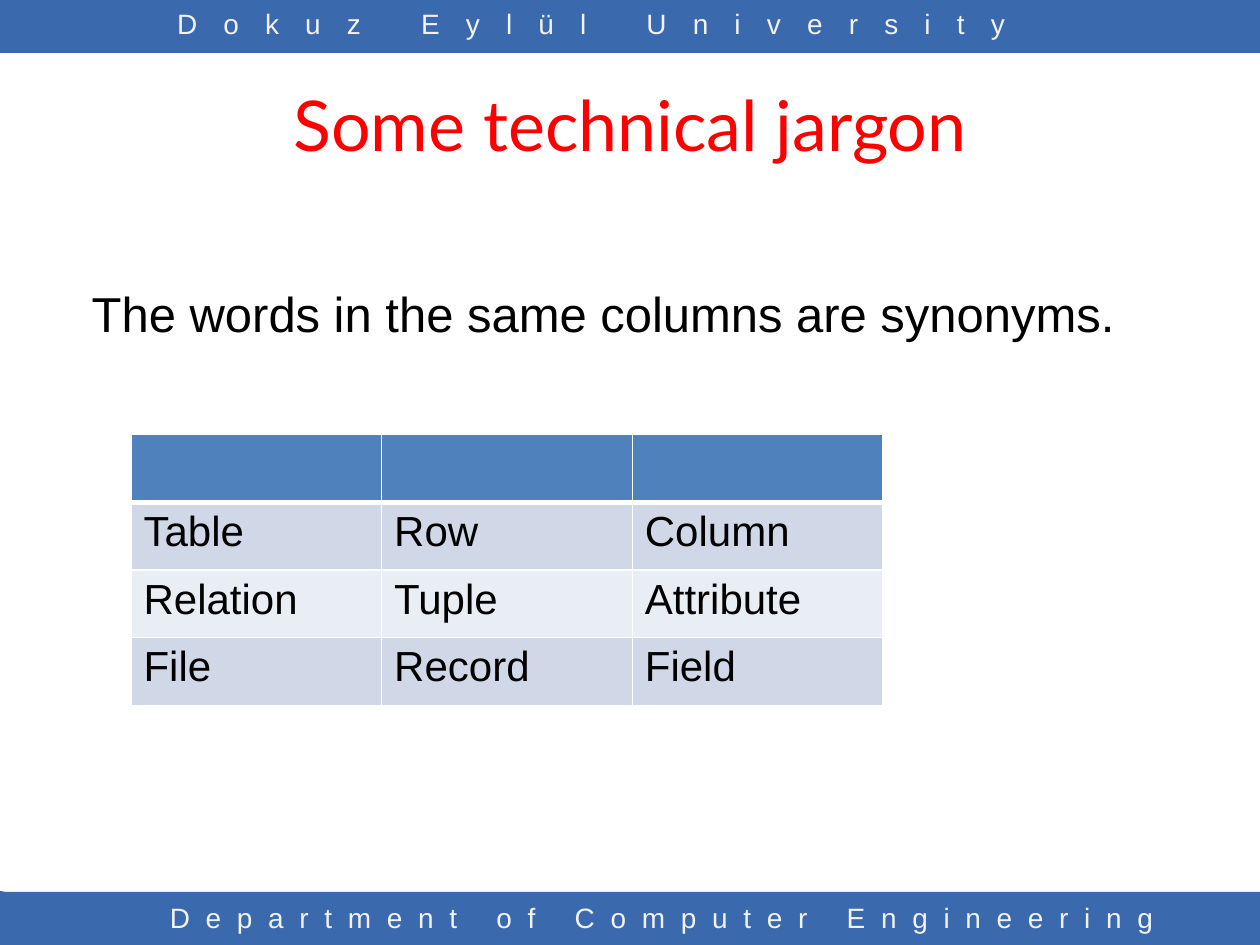
from dataclasses import dataclass

from lxml import etree
from pptx import Presentation
from pptx import util as u
from pptx.dml.color import RGBColor
from pptx.enum import shapes, text
from pptx.oxml.ns import qn


@dataclass(frozen=True)
class Theme:
    band: str = "3B69AE"
    band_text: str = "F2F2F2"
    title: str = "FF0000"
    ink: str = "000000"
    header: str = "4F81BD"
    rows: tuple = ("D0D8E8", "E9EDF4")
    border: str = "FFFFFF"
    heading_font: str = "Lato"
    body_font: str = "Arial"
    title_size: int = 40
    body_size: int = 28
    table_size: int = 24
    band_size: int = 16


class SlideBuilder:
    def __init__(self, slide, theme):
        self.slide = slide
        self.theme = theme

    def fill(self, shape, color):
        shape.shadow.inherit = False
        shape.fill.solid()
        shape.fill.fore_color.rgb = RGBColor.from_string(color)
        shape.line.fill.background()

    def add_text(self, paragraph, content, size, color, font, spacing=None):
        run = paragraph.add_run()
        run.text = content
        run.font.size = u.Pt(size)
        run.font.name = font
        run.font.color.rgb = RGBColor.from_string(color)
        if spacing:
            run._r.get_or_add_rPr().set("spc", str(spacing * 100))

    def band(self, top, height):
        shape = self.slide.shapes.add_shape(
            shapes.MSO_SHAPE.RECTANGLE, 0, u.Cm(top), u.Cm(25.4), u.Cm(height))
        self.fill(shape, self.theme.band)

    def polygon(self, points):
        start, *others = [(u.Cm(x), u.Cm(y)) for x, y in points]
        builder = self.slide.shapes.build_freeform(*start)
        builder.add_line_segments(others, close=True)
        self.fill(builder.convert_to_shape(), self.theme.band)

    def text_box(self, left, top, width, height):
        box = self.slide.shapes.add_textbox(
            u.Cm(left), u.Cm(top), u.Cm(width), u.Cm(height))
        box.text_frame.word_wrap = True
        return box.text_frame

    def band_label(self, content, left, top, width, height, spacing):
        paragraph = self.text_box(left, top, width, height).paragraphs[0]
        paragraph.alignment = text.PP_ALIGN.CENTER
        self.add_text(paragraph, content, self.theme.band_size,
                      self.theme.band_text, self.theme.body_font, spacing)

    def title(self, content, left, top, width, height):
        shape = self.slide.shapes.title
        shape.left, shape.top = u.Cm(left), u.Cm(top)
        shape.width, shape.height = u.Cm(width), u.Cm(height)
        shape.text_frame.vertical_anchor = text.MSO_ANCHOR.MIDDLE
        paragraph = shape.text_frame.paragraphs[0]
        paragraph.alignment = text.PP_ALIGN.CENTER
        self.add_text(paragraph, content, self.theme.title_size,
                      self.theme.title, self.theme.heading_font)

    def statement(self, content, left, top, width, height):
        frame = self.text_box(left, top, width, height)
        frame.word_wrap = False
        frame.auto_size = text.MSO_AUTO_SIZE.SHAPE_TO_FIT_TEXT
        self.add_text(frame.paragraphs[0], content, self.theme.body_size,
                      self.theme.ink, self.theme.body_font)

    def borders(self, cell, top, bottom):
        properties = cell._tc.get_or_add_tcPr()
        widths = {"a:lnL": 1, "a:lnR": 1, "a:lnT": top, "a:lnB": bottom}
        for position, (tag, width) in enumerate(widths.items()):
            line = etree.Element(qn(tag), w=str(u.Pt(width)))
            solid = etree.SubElement(line, qn("a:solidFill"))
            etree.SubElement(solid, qn("a:srgbClr"), val=self.theme.border)
            properties.insert(position, line)

    def table(self, rows, left, top, width, height):
        table = self.slide.shapes.add_table(
            len(rows), len(rows[0]), u.Cm(left), u.Cm(top),
            u.Cm(width), u.Cm(height)).table
        for i, row in enumerate(rows):
            color = self.theme.rows[(i - 1) % 2] if i else self.theme.header
            for j, content in enumerate(row):
                cell = table.cell(i, j)
                cell.fill.solid()
                cell.fill.fore_color.rgb = RGBColor.from_string(color)
                self.borders(cell, top=3 if i == 1 else 1, bottom=1 if i else 3)
                if content:
                    self.add_text(cell.text_frame.paragraphs[0], content,
                                  self.theme.table_size, self.theme.ink,
                                  self.theme.body_font)


def main():
    presentation = Presentation()
    presentation.slide_width, presentation.slide_height = u.Cm(25.4), u.Cm(19.05)
    slide = presentation.slides.add_slide(presentation.slide_layouts[5])
    builder = SlideBuilder(slide, Theme())

    for top in (0, 17.98):
        builder.band(top, 1.07)
    builder.polygon([(2.24, 18.01), (2.34, 18.01), (2.34, 19.05), (1.19, 19.05)])
    builder.polygon([(0.1, 17.98), (1.17, 19.05), (0, 19.05), (0, 17.96)])
    builder.band_label("Department of Computer Engineering",
                       2.34, 18.03, 22.02, 1.02, spacing=9)
    builder.band_label("Dokuz Eylül University", 1.65, 0, 20.55, 1.07, spacing=15)

    builder.title("Some technical jargon", 1.27, 1.04, 22.86, 2.9)
    builder.table([
        ("", "", ""),
        ("Table", "Row", "Column"),
        ("Relation", "Tuple", "Attribute"),
        ("File", "Record", "Field"),
    ], 2.64, 8.76, 15.16, 5.46)
    builder.statement("The words in the same columns are synonyms.",
                      1.6, 5.59, 21.36, 1.45)
    presentation.save("out.pptx")


if __name__ == "__main__":
    main()
